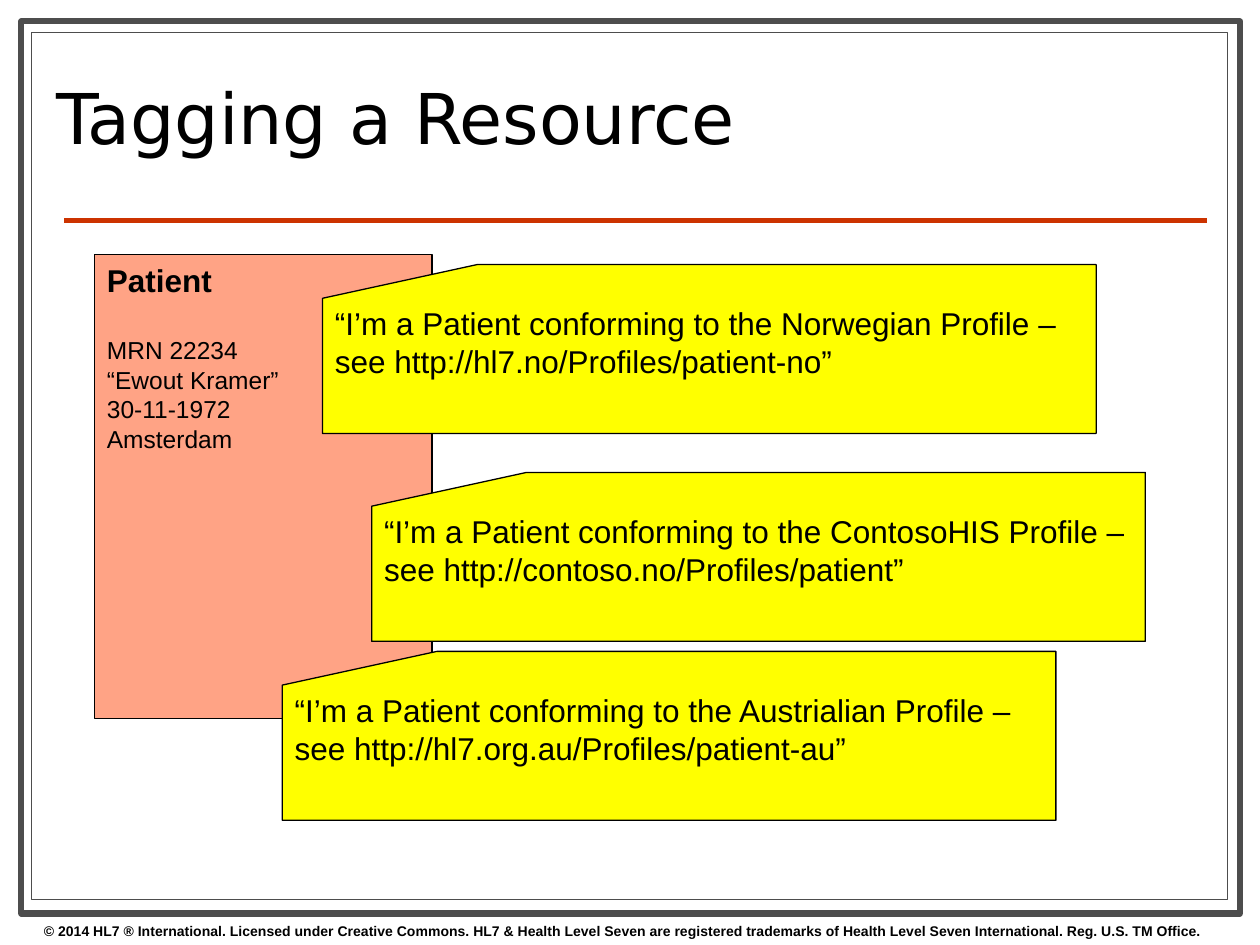
from dataclasses import dataclass

from pptx import Presentation
from pptx.dml.color import RGBColor
from pptx.enum.shapes import MSO_CONNECTOR, MSO_SHAPE
from pptx.enum.text import MSO_ANCHOR, PP_ALIGN
from pptx.oxml.xmlchemy import OxmlElement
from pptx.util import Inches, Pt


@dataclass(frozen=True)
class Theme:
    white: str = "FFFFFF"
    black: str = "000000"
    frame: str = "4D4D4D"
    rule: str = "CC3300"
    patient: str = "FFA385"
    tag: str = "FFFF00"
    title_font: str = "DejaVu Sans"
    body_font: str = "Arial"
    title_size: float = 40
    heading_size: float = 18
    detail_size: float = 14
    footer_size: float = 8


THEME = Theme()
HEADING = {"name": THEME.body_font, "size": Pt(THEME.heading_size), "bold": True}
TAG = {**HEADING, "bold": False}
DETAIL = {**TAG, "size": Pt(THEME.detail_size)}
FOOTER = {**HEADING, "size": Pt(THEME.footer_size)}
TITLE = {"name": THEME.title_font, "size": Pt(THEME.title_size)}

TAG_SIZE = (6.14, 1.34)
TAGS = [
    (2.56, 2.1, "“I’m a Patient conforming to the Norwegian Profile – see http://hl7.no/Profiles/patient-no”"),
    (2.95, 3.75, "“I’m a Patient conforming to the ContosoHIS Profile – see http://contoso.no/Profiles/patient”"),
    (2.24, 5.17, "“I’m a Patient conforming to the Austrialian Profile – see http://hl7.org.au/Profiles/patient-au”"),
]
PATIENT_DETAILS = ["MRN 22234", "“Ewout Kramer”", "30-11-1972", "Amsterdam"]
COPYRIGHT = (
    "© 2014 HL7 ® International. Licensed under Creative Commons. "
    "HL7 & Health Level Seven are registered trademarks of "
    "Health Level Seven International. Reg. U.S. TM Office."
)


def inches(*values):
    return [Inches(v) for v in values]


def write(sp, lines, anchor=MSO_ANCHOR.TOP):
    tf = sp.text_frame
    tf.word_wrap = True
    tf.vertical_anchor = anchor
    for i, (text, fmt) in enumerate(lines):
        p = tf.paragraphs[0] if i == 0 else tf.add_paragraph()
        p.alignment = PP_ALIGN.LEFT
        r = p.add_run()
        r.text = text
        for key, value in fmt.items():
            setattr(r.font, key, value)
        r.font.color.rgb = RGBColor.from_string(THEME.black)
    return tf


def add_box(s, kind, box, fill, line=THEME.black, width=0.75):
    sp = s.shapes.add_shape(kind, *inches(*box))
    sp.shadow.inherit = False
    sp.fill.solid()
    sp.fill.fore_color.rgb = RGBColor.from_string(fill)
    sp.line.color.rgb = RGBColor.from_string(line)
    sp.line.width = Pt(width)
    return sp


def add_text(s, box, text, fmt, anchor=MSO_ANCHOR.TOP):
    return write(s.shapes.add_textbox(*inches(*box)), [(text, fmt)], anchor)


def add_rule(s, ends):
    line = s.shapes.add_connector(MSO_CONNECTOR.STRAIGHT, *inches(*ends))
    line.line.color.rgb = RGBColor.from_string(THEME.rule)
    line.line.width = Pt(3)
    line._element.spPr.append(OxmlElement("a:effectLst"))


def add_patient(s):
    sp = add_box(s, MSO_SHAPE.RECTANGLE, (0.75, 2.02, 2.68, 3.68), THEME.patient)
    lines = [("Patient", HEADING)] + [(text, DETAIL) for text in PATIENT_DETAILS]
    tf = write(sp, lines)
    tf.paragraphs[1].space_before = Pt(21)


def add_tag(s, left, top, text):
    sp = add_box(s, MSO_SHAPE.FLOWCHART_CARD, (left, top, *TAG_SIZE), THEME.tag)
    write(sp, [(text, TAG)])


def main():
    prs = Presentation()
    prs.slide_width, prs.slide_height = inches(10, 7.5)
    s = prs.slides.add_slide(prs.slide_layouts[6])

    for box, width in (((0.17, 0.17, 9.67, 7.08), 3.5), ((0.25, 0.26, 9.49, 6.88), 0.75)):
        add_box(s, MSO_SHAPE.RECTANGLE, box, THEME.white, THEME.frame, width)
    add_rule(s, (0.51, 1.75, 9.58, 1.75))
    add_text(s, (0.25, 7.27, 10, 0.23), COPYRIGHT, FOOTER)
    title = add_text(s, (0.35, 0.36, 7.17, 1.26), "Tagging a Resource", TITLE, MSO_ANCHOR.MIDDLE)
    title.paragraphs[0].line_spacing = 0.8
    add_patient(s)
    for tag in TAGS:
        add_tag(s, *tag)

    prs.save("out.pptx")


if __name__ == "__main__":
    main()
